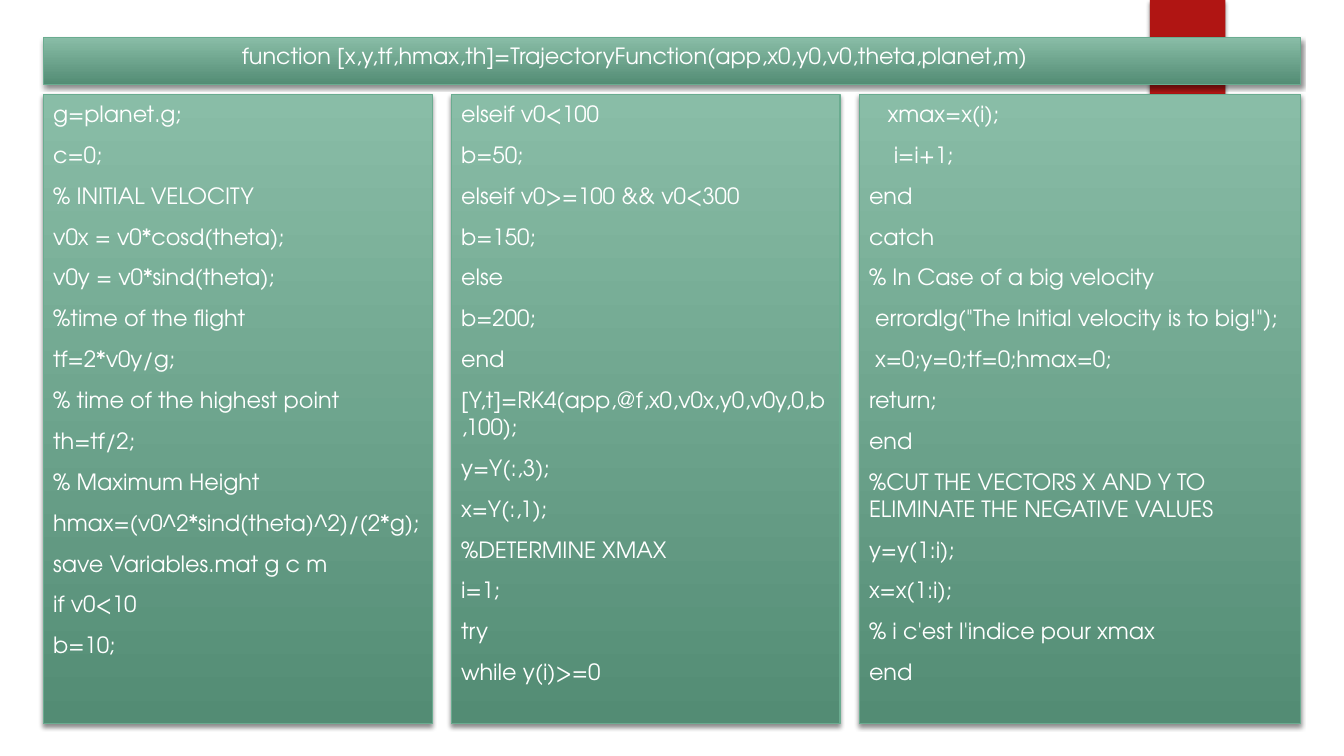
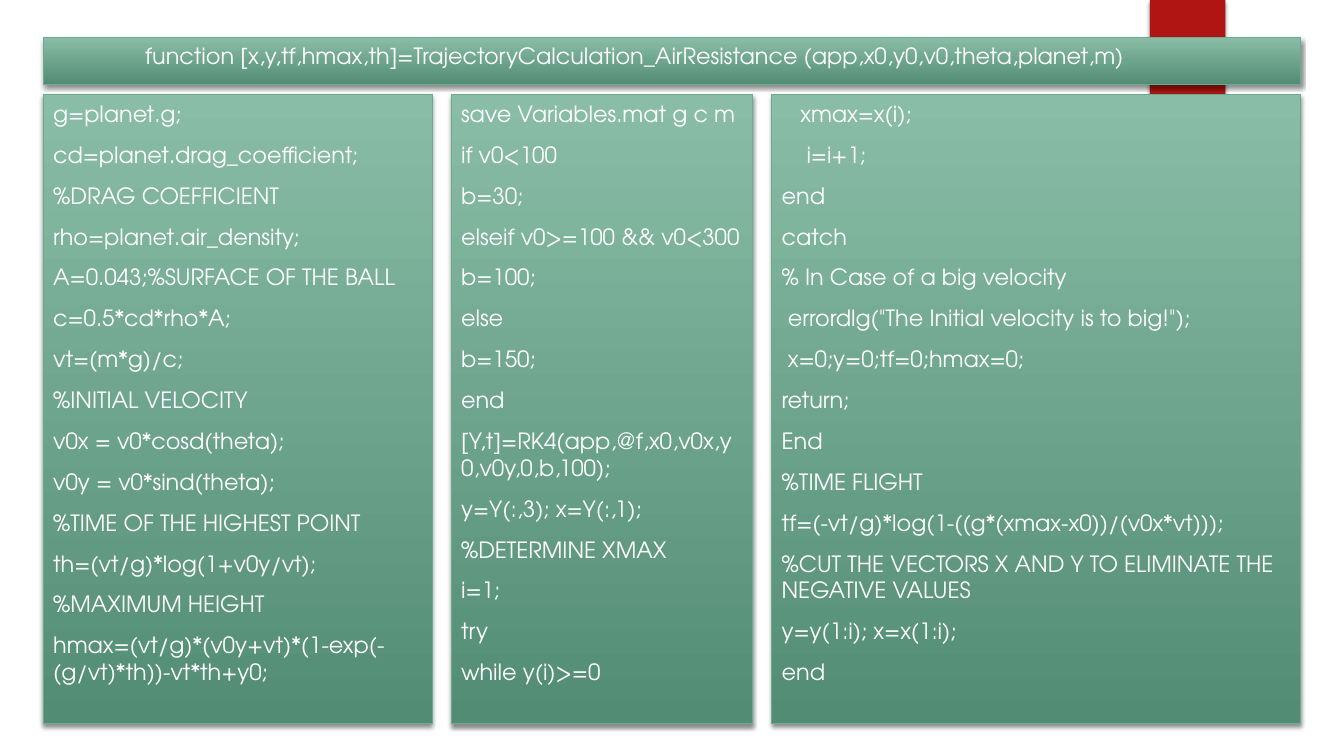
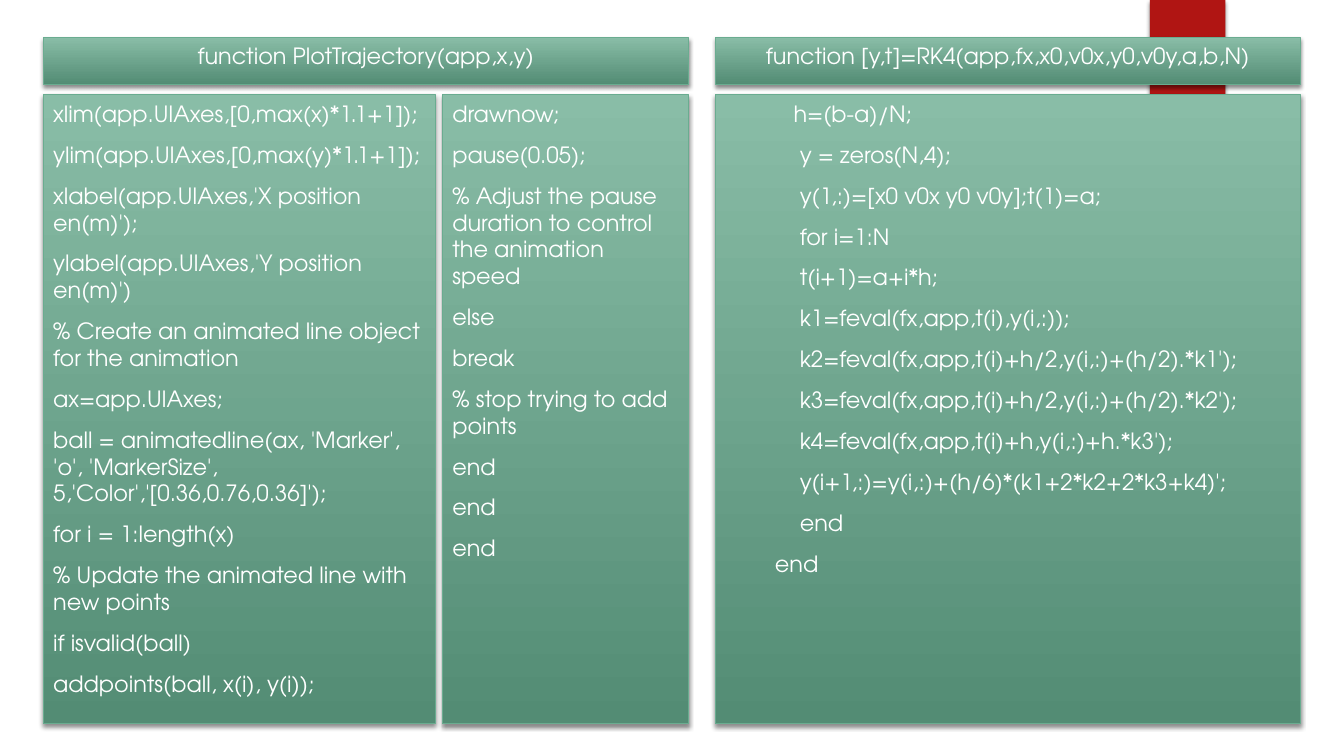
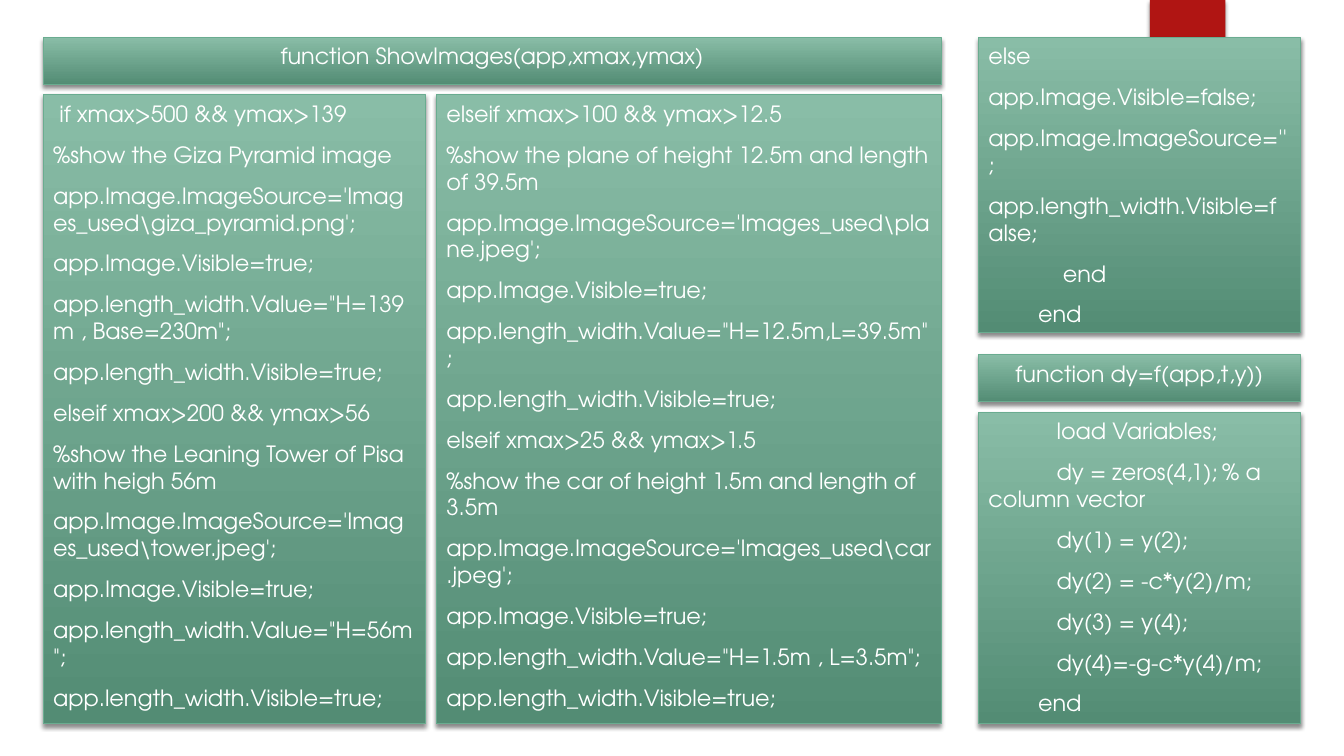
from collections import namedtuple

from lxml import etree
from pptx import Presentation
from pptx.dml.color import RGBColor
from pptx.enum.shapes import MSO_SHAPE
from pptx.enum.text import MSO_ANCHOR, MSO_AUTO_SIZE, PP_ALIGN
from pptx.oxml.ns import qn
from pptx.util import Cm, Pt

RECTANGLE = MSO_SHAPE.RECTANGLE
TOP = MSO_ANCHOR.TOP
NO_FIT = MSO_AUTO_SIZE.NONE
LEFT, CENTER = PP_ALIGN.LEFT, PP_ALIGN.CENTER

COLORS = {
    "text": "FFFFFF",
    "panel_top": "89BDA7",
    "panel_bottom": "538C74",
    "panel_line": "6AAC90",
    "ribbon": "B01513",
    "shadow": "000000",
}
FONT = "TeX Gyre Adventor"
COMPARISON_LAYOUT = 4

# Lengths in centimetres
Box = namedtuple("Box", "left top width height")
PAGE = Box(1.09, 0.94, 31.68, 17.3)
RIBBON = Box(28.98, 0, 1.9, 3.18)
HEADER_HEIGHT = 1.19
HEADER_GAP = 0.26
INSET_X, INSET_Y = 0.25, 0.13
TAB_STOP = 6.4
CODE_SPACE = Pt(4.43)  # width of one leading space of code
CODE_GAP = " " * 4  # a gap inside a line, set with a tab

# Code of the trajectory without air
TRAJECTORY = [r"""
g=planet.g;
c=0;
% INITIAL VELOCITY
v0x = v0*cosd(theta);
v0y = v0*sind(theta);
%time of the flight
tf=2*v0y/g;
% time of the highest point
th=tf/2;
% Maximum Height
hmax=(v0^2*sind(theta)^2)/(2*g);
save Variables.mat g c m
if v0<10
b=10;
""", r"""
elseif v0<100
b=50;
elseif v0>=100 && v0<300
b=150;
else
b=200;
end
[Y,t]=RK4(app,@f,x0,v0x,y0,v0y,0,b,100);
y=Y(:,3);
x=Y(:,1);
%DETERMINE XMAX
i=1;
try
while y(i)>=0
""", r"""
   xmax=x(i);
    i=i+1;
end
catch
% In Case of a big velocity
 errordlg("The Initial velocity is to big!");
 x=0;y=0;tf=0;hmax=0;
return;
end
%CUT THE VECTORS X AND Y TO ELIMINATE THE NEGATIVE VALUES
y=y(1:i);
x=x(1:i);
% i c'est l'indice pour xmax
end
"""]

# Code of the trajectory with air resistance
AIR_RESISTANCE = [r"""
g=planet.g;
cd=planet.drag_coefficient;
%DRAG COEFFICIENT
rho=planet.air_density;
A=0.043;%SURFACE OF THE BALL
c=0.5*cd*rho*A;
vt=(m*g)/c;
%INITIAL VELOCITY
v0x = v0*cosd(theta);
v0y = v0*sind(theta);
%TIME OF THE HIGHEST POINT
th=(vt/g)*log(1+v0y/vt);
%MAXIMUM HEIGHT
hmax=(vt/g)*(v0y+vt)*(1-exp(-(g/vt)*th))-vt*th+y0;
""", r"""
save Variables.mat g c m
if v0<100
b=30;
elseif v0>=100 && v0<300
b=100;
else
b=150;
end
[Y,t]=RK4(app,@f,x0,v0x,y0,v0y,0,b,100);
y=Y(:,3); x=Y(:,1);
%DETERMINE XMAX
i=1;
try
while y(i)>=0
""", r"""
   xmax=x(i);
    i=i+1;
end
catch
% In Case of a big velocity
 errordlg("The Initial velocity is to big!");
 x=0;y=0;tf=0;hmax=0;
return;
End
%TIME FLIGHT
tf=(-vt/g)*log(1-((g*(xmax-x0))/(v0x*vt)));
%CUT THE VECTORS X AND Y TO ELIMINATE THE NEGATIVE VALUES
y=y(1:i); x=x(1:i);
end
"""]

# Code of the plot and the solver
PLOT = [r"""
xlim(app.UIAxes,[0,max(x)*1.1+1]);
ylim(app.UIAxes,[0,max(y)*1.1+1]);
xlabel(app.UIAxes,'X position en(m)');
ylabel(app.UIAxes,'Y position en(m)')
% Create an animated line object for the animation
ax=app.UIAxes;
ball = animatedline(ax, 'Marker', 'o', 'MarkerSize', 5,'Color','[0.36,0.76,0.36]');
for i = 1:length(x)
% Update the animated line with new points
if isvalid(ball)
addpoints(ball, x(i), y(i));
""", r"""
drawnow;
pause(0.05);
% Adjust the pause duration to control the animation speed
else
break
% stop trying to add points
end
end
end
"""]

RK4 = [r"""
           h=(b-a)/N;
            y = zeros(N,4);
            y(1,:)=[x0 v0x y0 v0y];t(1)=a;
            for i=1:N
            t(i+1)=a+i*h;
            k1=feval(fx,app,t(i),y(i,:));
            k2=feval(fx,app,t(i)+h/2,y(i,:)+(h/2).*k1');
            k3=feval(fx,app,t(i)+h/2,y(i,:)+(h/2).*k2');
            k4=feval(fx,app,t(i)+h,y(i,:)+h.*k3');
            y(i+1,:)=y(i,:)+(h/6)*(k1+2*k2+2*k3+k4)';
            end
        end
"""]

# Code of the images and the derivative
IMAGES = [r"""
 if xmax>500 && ymax>139
%show the Giza Pyramid image
app.Image.ImageSource='Images_used\giza_pyramid.png';
app.Image.Visible=true;
app.length_width.Value="H=139m , Base=230m";
app.length_width.Visible=true;
elseif xmax>200 && ymax>56
%show the Leaning Tower of Pisa with heigh 56m
app.Image.ImageSource='Images_used\tower.jpeg';
app.Image.Visible=true;
app.length_width.Value="H=56m";
app.length_width.Visible=true;
""", r"""
elseif xmax>100 && ymax>12.5
%show the plane of height 12.5m and length of 39.5m
app.Image.ImageSource='Images_used\plane.jpeg';
app.Image.Visible=true;
app.length_width.Value="H=12.5m,L=39.5m";
app.length_width.Visible=true;
elseif xmax>25 && ymax>1.5
%show the car of height 1.5m and length of 3.5m
app.Image.ImageSource='Images_used\car.jpeg';
app.Image.Visible=true;
app.length_width.Value="H=1.5m , L=3.5m";
app.length_width.Visible=true;
"""]

IMAGES_ELSE = r"""
else
app.Image.Visible=false;
app.Image.ImageSource='';
app.length_width.Visible=false;
            end
        end
"""

DERIVATIVE = [r"""
           load Variables;
           dy = zeros(4,1);    % a column vector
           dy(1) = y(2);
           dy(2) = -c*y(2)/m;
           dy(3) = y(4);
           dy(4)=-g-c*y(4)/m;
        end
"""]


def color(name):
    return RGBColor.from_string(COLORS[name])


def place(shape, box):
    shape.left, shape.top, shape.width, shape.height = map(Cm, box)


def add_shadow(shape):
    shape.shadow.inherit = False
    effects = shape.element.spPr.find(qn("a:effectLst"))
    outer = etree.SubElement(effects, qn("a:outerShdw"), blurRad=str(Pt(3)),
                             dist=str(Pt(2)), dir="5400000", rotWithShape="0")
    tint = etree.SubElement(outer, qn("a:srgbClr"), val=COLORS["shadow"])
    etree.SubElement(tint, qn("a:alpha"), val="45000")


def write_line(paragraph, line, align):
    """Write one line of code; its leading spaces become a first-line indent."""
    text = line.lstrip()
    paragraph.text = text.replace(CODE_GAP, "\t")
    props = paragraph._p.get_or_add_pPr()
    props.set("marL", "0")
    props.set("indent", str((len(line) - len(text)) * CODE_SPACE))
    etree.SubElement(props, qn("a:buNone"))
    if CODE_GAP in text:
        tabs = etree.SubElement(props, qn("a:tabLst"))
        etree.SubElement(tabs, qn("a:tab"), pos=str(Cm(TAB_STOP)), algn="l")
    paragraph.alignment = align
    paragraph.space_before = Pt(10)
    font = paragraph.font
    font.name, font.size, font.bold = FONT, Pt(16), False
    font.color.rgb = color("text")


def fill_panel(shape, box, code, align=LEFT, extra_right=0):
    """Turn a shape or placeholder into a green panel of code."""
    place(shape, box)
    shape.fill.gradient()
    shape.fill.gradient_angle = 270
    for stop, name in zip(shape.fill.gradient_stops, ("panel_top", "panel_bottom")):
        stop.color.rgb = color(name)
    shape.line.color.rgb = color("panel_line")
    shape.line.width = Pt(0.75)
    add_shadow(shape)

    frame = shape.text_frame
    frame.word_wrap = True
    frame.auto_size = NO_FIT
    frame.vertical_anchor = TOP
    frame.margin_left = Cm(INSET_X)
    frame.margin_right = Cm(INSET_X + extra_right)
    frame.margin_top = frame.margin_bottom = Cm(INSET_Y)
    for number, line in enumerate(code.strip("\n").splitlines()):
        paragraph = frame.add_paragraph() if number else frame.paragraphs[0]
        write_line(paragraph, line, align)


def function_section(box, header, signature, bodies, columns, widths=(), gap=0,
                     extra_right=0):
    """Signature bar over columns of code; the last column takes the rest."""
    fill_panel(header, box._replace(height=HEADER_HEIGHT), signature, CENTER,
               extra_right)
    offset = HEADER_HEIGHT + HEADER_GAP
    rest = box.width - sum(widths) - gap * len(widths)
    left = box.left
    for code, width in zip(columns, (*widths, rest)):
        column = Box(left, box.top + offset, width, box.height - offset)
        fill_panel(next(bodies), column, code)
        left += width + gap


def start_slide(prs):
    slide = prs.slides.add_slide(prs.slide_layouts[COMPARISON_LAYOUT])
    bodies = iter([holder for holder in slide.placeholders
                   if holder.placeholder_format.idx])
    return slide, bodies


def add_header_bar(slide):
    return slide.shapes.add_shape(RECTANGLE, 0, 0, 0, 0)


def remove_spare(bodies):
    for spare in bodies:
        spare.element.getparent().remove(spare.element)


def add_ribbon_to_master(prs, slide):
    """Draw the red ribbon once and move it to the back of the master."""
    ribbon = slide.shapes.add_shape(RECTANGLE, *map(Cm, RIBBON))
    ribbon.fill.solid()
    ribbon.fill.fore_color.rgb = color("ribbon")
    ribbon.line.fill.background()
    add_shadow(ribbon)
    prs.slide_master.shapes.element.insert(2, ribbon.element)


def trajectory_slide(prs, signature, columns, widths):
    slide, bodies = start_slide(prs)
    function_section(PAGE, slide.shapes.title, signature, bodies, columns,
                     widths, gap=0.48, extra_right=1.86)
    remove_spare(bodies)
    return slide


def plot_slide(prs):
    slide, bodies = start_slide(prs)
    function_section(PAGE._replace(width=16.26), slide.shapes.title,
                     "function PlotTrajectory(app,x,y)", bodies, PLOT, [9.88], 0.18)
    function_section(PAGE._replace(left=18.03, width=14.74), add_header_bar(slide),
                     "function [y,t]=RK4(app,fx,x0,v0x,y0,v0y,a,b,N)", bodies, RK4)
    remove_spare(bodies)


def images_slide(prs):
    slide, bodies = start_slide(prs)
    function_section(PAGE._replace(width=22.63), slide.shapes.title,
                     "function ShowImages(app,xmax,ymax)", bodies, IMAGES,
                     [9.63], 0.28)
    side = PAGE._replace(left=24.66, width=8.11)
    fill_panel(next(bodies), side._replace(height=7.44), IMAGES_ELSE)
    function_section(side._replace(top=8.94, height=9.3), add_header_bar(slide),
                     "function dy=f(app,t,y))", bodies, DERIVATIVE)
    remove_spare(bodies)


def main():
    prs = Presentation()
    prs.slide_width, prs.slide_height = Cm(33.87), Cm(19.05)
    first = trajectory_slide(
        prs, "function [x,y,tf,hmax,th]=TrajectoryFunction(app,x0,y0,v0,theta,planet,m)",
        TRAJECTORY, [9.8, 9.8])
    add_ribbon_to_master(prs, first)
    trajectory_slide(
        prs, "function [x,y,tf,hmax,th]=TrajectoryCalculation_AirResistance "
        "(app,x0,y0,v0,theta,planet,m)", AIR_RESISTANCE, [9.8, 7.6])
    plot_slide(prs)
    images_slide(prs)
    prs.save("out.pptx")


if __name__ == "__main__":
    main()
